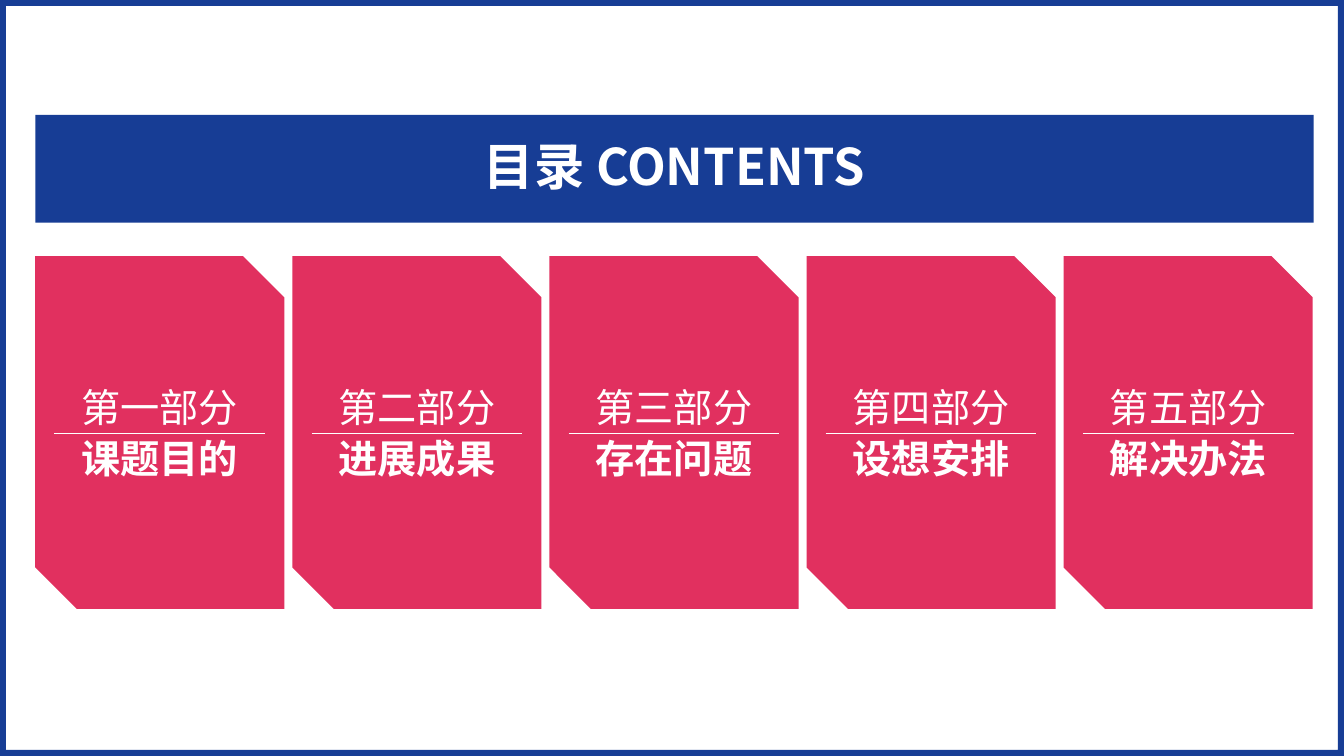
from dataclasses import dataclass

from lxml import etree
from pptx import Presentation
from pptx.dml.color import RGBColor
from pptx.enum import shapes, text
from pptx.oxml import ns
from pptx.util import Inches, Pt


@dataclass(frozen=True)
class Theme:
    """Colours, font and type sizes of the slide."""
    blue: RGBColor = RGBColor(0x17, 0x3D, 0x95)
    red: RGBColor = RGBColor(0xE1, 0x30, 0x5F)
    white: RGBColor = RGBColor(0xFF, 0xFF, 0xFF)
    font: str = "Noto Sans CJK SC"
    title: int = 36
    card: int = 28


THEME = Theme()
WIDTH, HEIGHT = 13.33, 7.5
LEFT, CARD_TOP, CARD_W, CARD_H = 0.35, 2.54, 2.47, 3.5
PITCH, CUT = 2.55, 0.41
RULE_INSET, RULE_Y = 0.19, 4.3
PARTS = [
    ("第一部分", "课题目的"),
    ("第二部分", "进展成果"),
    ("第三部分", "存在问题"),
    ("第四部分", "设想安排"),
    ("第五部分", "解决办法"),
]


def paint(sp, color):
    """Give a shape a flat fill without outline or shadow."""
    sp.shadow.inherit = False
    sp.fill.solid()
    sp.fill.fore_color.rgb = color
    sp.line.fill.background()


def add_box(s, kind, x, y, w, h, color):
    """Add a preset shape in one colour."""
    sp = s.shapes.add_shape(kind, Inches(x), Inches(y), Inches(w), Inches(h))
    paint(sp, color)
    return sp


def write(p, words, *, size, bold=False, before=0, spacing=1.0):
    """Write centred white text into a paragraph."""
    p.alignment = text.PP_ALIGN.CENTER
    p.space_before = Pt(before)
    p.line_spacing = spacing
    r = p.add_run()
    r.text = words
    r.font.size = Pt(size)
    r.font.bold = bold
    r.font.color.rgb = THEME.white
    r.font.name = THEME.font
    ea = etree.SubElement(r._r.get_or_add_rPr(), ns.qn("a:ea"))
    ea.set("typeface", THEME.font)


def text_frame(sp):
    """Return the shape's text frame, wrapped and vertically centred."""
    tf = sp.text_frame
    tf.word_wrap = True
    tf.vertical_anchor = text.MSO_ANCHOR.MIDDLE
    return tf


def add_card(s, x, part, topic):
    """Add a card with two cut corners, its part number and its topic."""
    right, bottom = x + CARD_W, CARD_TOP + CARD_H
    corners = [
        (x, CARD_TOP), (right - CUT, CARD_TOP), (right, CARD_TOP + CUT),
        (right, bottom), (x + CUT, bottom), (x, bottom - CUT),
    ]
    points = [(Inches(px), Inches(py)) for px, py in corners]
    builder = s.shapes.build_freeform(*points[0])
    builder.add_line_segments(points[1:], close=True)
    sp = builder.convert_to_shape()
    paint(sp, THEME.red)
    tf = text_frame(sp)
    write(tf.paragraphs[0], part, size=THEME.card, before=3)
    write(tf.add_paragraph(), topic, size=THEME.card, bold=True, before=3)


def add_rule(s, x1, x2, y):
    """Add a thin white horizontal line."""
    line = s.shapes.add_connector(
        shapes.MSO_CONNECTOR.STRAIGHT, Inches(x1), Inches(y), Inches(x2), Inches(y))
    line.line.color.rgb = THEME.white
    line.line.width = Pt(0.5)
    etree.SubElement(line._element.spPr, ns.qn("a:effectLst"))


def main():
    """Build the contents slide and save it."""
    prs = Presentation()
    prs.slide_width, prs.slide_height = Inches(WIDTH), Inches(HEIGHT)
    s = prs.slides.add_slide(prs.slide_layouts[6])

    frame = add_box(s, shapes.MSO_SHAPE.FRAME, 0, 0, WIDTH, HEIGHT, THEME.blue)
    frame.adjustments[0] = 0.008
    banner = add_box(s, shapes.MSO_SHAPE.RECTANGLE, LEFT, 1.14, 12.68, 1.07, THEME.blue)
    write(text_frame(banner).paragraphs[0], "目录 CONTENTS",
          size=THEME.title, bold=True, before=10, spacing=0.9)

    for i, (part, topic) in enumerate(PARTS):
        x = LEFT + i * PITCH
        add_card(s, x, part, topic)
        add_rule(s, x + RULE_INSET, x + CARD_W - RULE_INSET, RULE_Y)

    prs.save("out.pptx")


if __name__ == "__main__":
    main()
